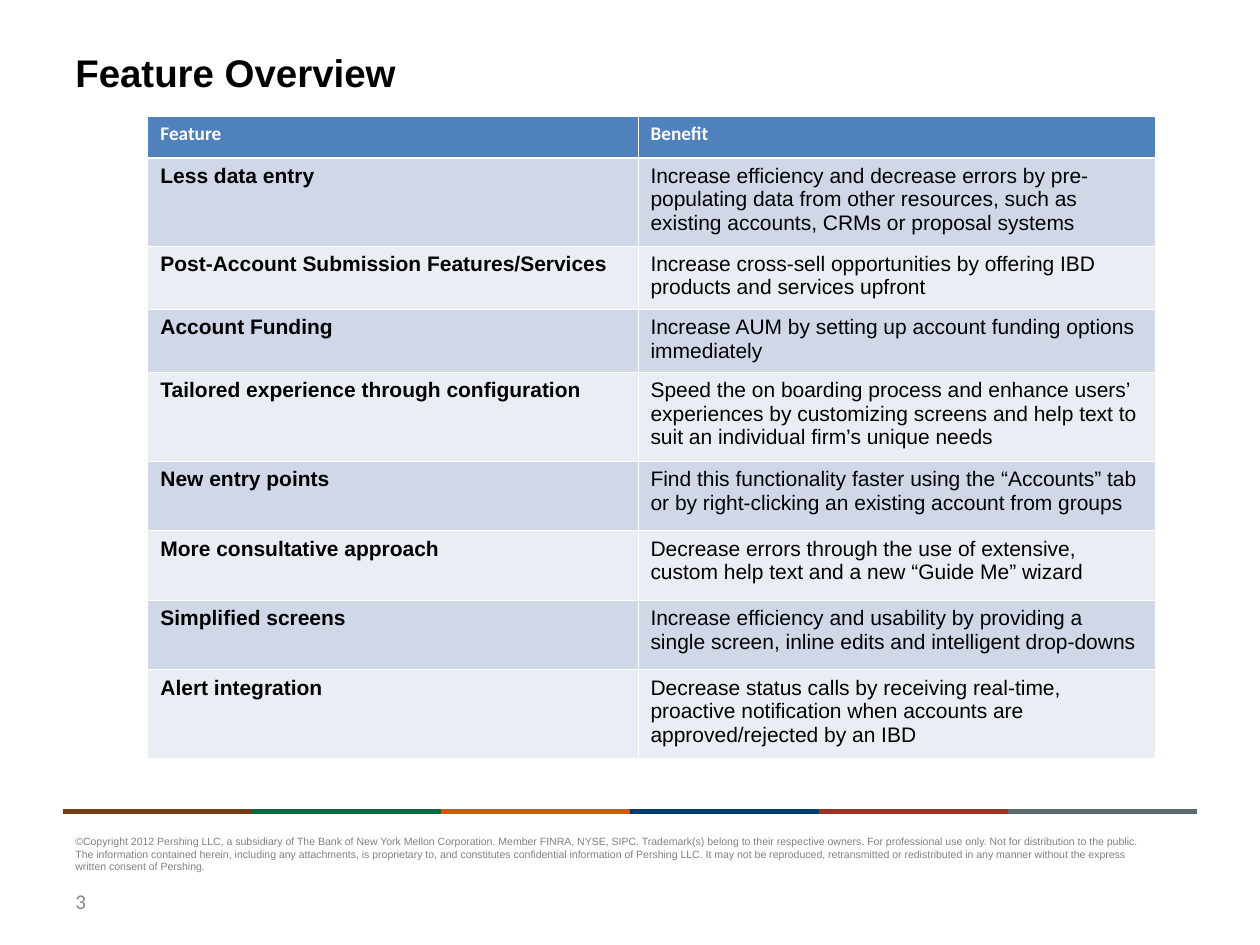
from lxml import etree
from pptx import Presentation
from pptx.dml.color import RGBColor
from pptx.enum import shapes, text
from pptx.oxml.ns import qn
from pptx.util import Cm, Pt

BLACK = RGBColor(0x00, 0x00, 0x00)
WHITE = RGBColor(0xFF, 0xFF, 0xFF)
GREY = RGBColor(0x80, 0x80, 0x80)
NUMBER_GREY = RGBColor(0x89, 0x89, 0x89)
HEADER_BLUE = RGBColor(0x4F, 0x81, 0xBD)
BAND_DARK = RGBColor(0xD0, 0xD8, 0xE8)
BAND_LIGHT = RGBColor(0xE9, 0xED, 0xF4)
STRIPE_COLOURS = [
    RGBColor(0x72, 0x3D, 0x14),
    RGBColor(0x00, 0x69, 0x3C),
    RGBColor(0xE0, 0x52, 0x06),
    RGBColor(0x00, 0x3C, 0x69),
    RGBColor(0x98, 0x32, 0x22),
    RGBColor(0x5E, 0x6A, 0x71),
]

THIN, THICK = 0.45, 1.47
COLUMN_WIDTHS = [9.88, 10.44]
ROW_HEIGHTS = [0.84, 1.78, 1.27, 1.27, 1.8, 1.4, 1.4, 1.4, 1.78]
FEATURES = [
    ("Feature", "Benefit"),
    ("Less data entry",
     "Increase efficiency and decrease errors by pre-populating data from "
     "other resources, such as existing accounts, CRMs or proposal systems"),
    ("Post-Account Submission Features/Services",
     "Increase cross-sell opportunities by offering IBD products and services upfront"),
    ("Account Funding",
     "Increase AUM by setting up account funding options immediately"),
    ("Tailored experience through configuration",
     "Speed the on boarding process and enhance users’ experiences by "
     "customizing screens and help text to suit an individual firm’s unique needs"),
    ("New entry points",
     "Find this functionality faster using the “Accounts” tab or by "
     "right-clicking an existing account from groups"),
    ("More consultative approach",
     "Decrease errors through the use of extensive, custom help text and a "
     "new “Guide Me” wizard"),
    ("Simplified screens",
     "Increase efficiency and usability by providing a single screen, inline "
     "edits and intelligent drop-downs"),
    ("Alert integration",
     "Decrease status calls by receiving real-time, proactive notification "
     "when accounts are approved/rejected by an IBD"),
]
COPYRIGHT = (
    "©Copyright 2012 Pershing LLC, a subsidiary of The Bank of New York Mellon "
    "Corporation. Member FINRA, NYSE, SIPC. Trademark(s) belong to their "
    "respective owners. For professional use only. Not for distribution to the public.\v"
    "The information contained herein, including any attachments, is proprietary "
    "to, and constitutes confidential information of Pershing LLC. It may not be "
    "reproduced, retransmitted or redistributed in any manner without the express\v"
    "written consent of Pershing."
)


def style(paragraph, size, colour, name="Arial", bold=False):
    font = paragraph.font
    font.size, font.name, font.bold = Pt(size), name, bold
    font.color.rgb = colour


def add_label(slide, box, words, size, colour, name="Arial", bold=False,
              anchor=text.MSO_ANCHOR.MIDDLE):
    frame = slide.shapes.add_textbox(*box).text_frame
    frame.word_wrap = True
    frame.vertical_anchor = anchor
    frame.paragraphs[0].text = words
    style(frame.paragraphs[0], size, colour, name, bold)


def set_borders(cell, top, bottom):
    properties = cell._tc.get_or_add_tcPr()
    edges = [("a:lnL", THIN), ("a:lnR", THIN), ("a:lnT", top), ("a:lnB", bottom)]
    for position, (tag, width) in enumerate(edges):
        line = etree.Element(qn(tag), w=str(Pt(width)))
        fill = etree.SubElement(line, qn("a:solidFill"))
        etree.SubElement(fill, qn("a:srgbClr"), val=str(WHITE))
        properties.insert(position, line)


def add_feature_table(slide, left, top, width, height):
    table = slide.shapes.add_table(
        len(FEATURES), len(COLUMN_WIDTHS), left, top, width, height).table
    for column, column_width in zip(table.columns, COLUMN_WIDTHS):
        column.width = Cm(column_width)
    for row, (entries, row_height) in enumerate(zip(FEATURES, ROW_HEIGHTS)):
        table.rows[row].height = Cm(row_height)
        for column, words in enumerate(entries):
            cell = table.cell(row, column)
            cell.text = words
            paragraph = cell.text_frame.paragraphs[0]
            cell.fill.solid()
            if row == 0:
                cell.fill.fore_color.rgb = HEADER_BLUE
                style(paragraph, 11, WHITE, "Calibri", True)
            else:
                cell.fill.fore_color.rgb = BAND_DARK if row % 2 else BAND_LIGHT
                style(paragraph, 12, BLACK, bold=column == 0)
            set_borders(cell, THICK if row == 1 else THIN, THICK if row == 0 else THIN)


def add_stripe(slide, left, top, width, height):
    segment = width // len(STRIPE_COLOURS)
    for index, colour in enumerate(STRIPE_COLOURS):
        bar = slide.shapes.add_shape(
            shapes.MSO_SHAPE.RECTANGLE, left + index * segment, top, segment, height)
        bar.shadow.inherit = False
        bar.fill.solid()
        bar.fill.fore_color.rgb = colour
        bar.line.fill.background()


def add_footer(slide, left, top, width, height):
    add_stripe(slide, left, top, width, Cm(0.1))
    add_label(slide, (left, top + Cm(0.4), width, Cm(1.02)), COPYRIGHT, 6, GREY,
              anchor=text.MSO_ANCHOR.TOP)
    number_height = Cm(1.02)
    add_label(slide, (left, top + height - number_height, Cm(5.92), number_height),
              "3", 12, NUMBER_GREY, "Calibri")


def main():
    deck = Presentation()
    deck.slide_width, deck.slide_height = Cm(25.4), Cm(19.05)
    slide = deck.slides.add_slide(deck.slide_layouts[6])
    margin, content_width = Cm(1.27), Cm(22.86)
    add_label(slide, (margin, Cm(0.85), content_width, Cm(1.2)),
              "Feature Overview", 22, BLACK, bold=True)
    add_feature_table(slide, Cm(2.98), Cm(2.34), Cm(sum(COLUMN_WIDTHS)),
                      Cm(sum(ROW_HEIGHTS)))
    add_footer(slide, margin, Cm(16.31), content_width, Cm(2.36))
    deck.save("out.pptx")


if __name__ == "__main__":
    main()
